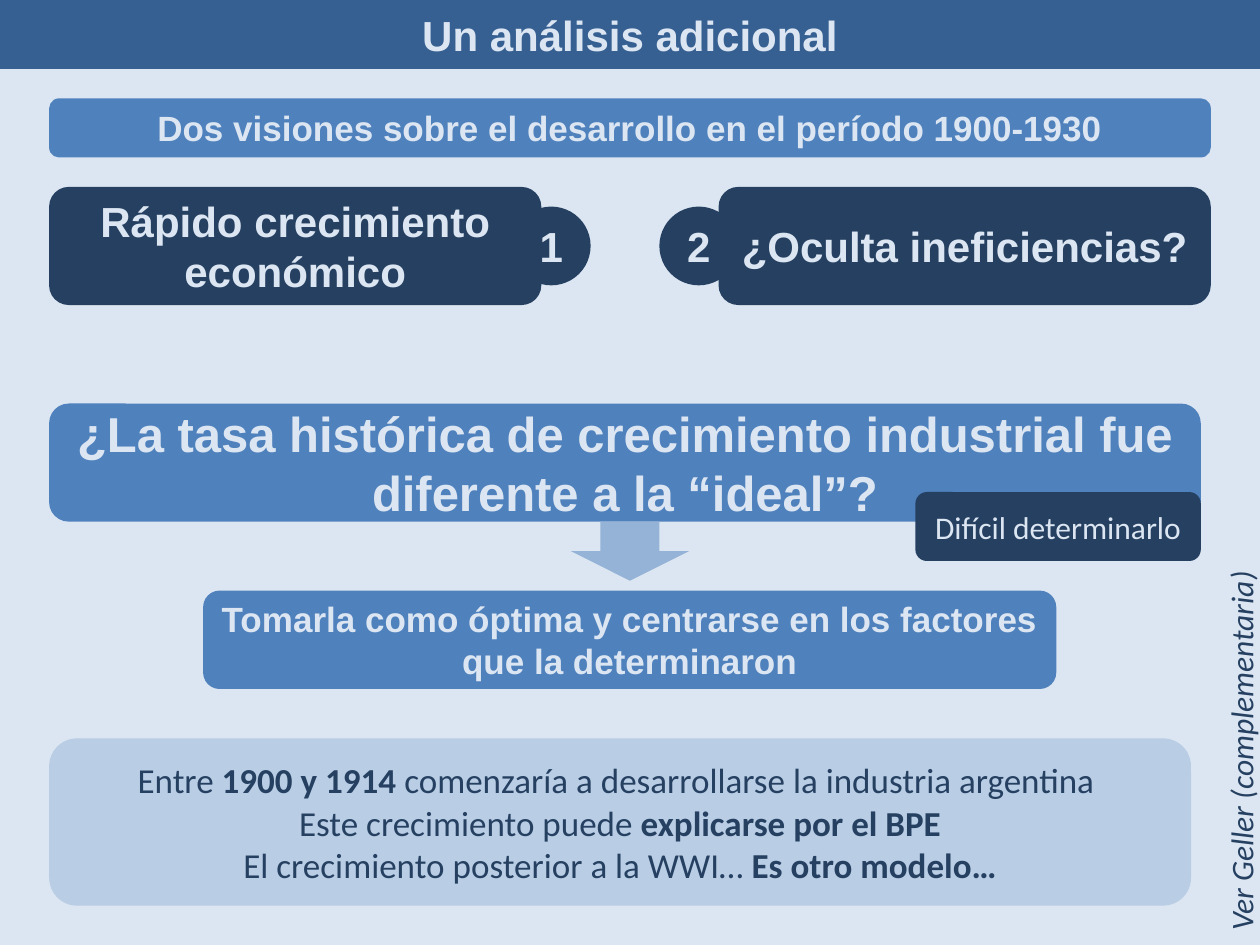
from dataclasses import dataclass

from pptx import Presentation
from pptx import util as u
from pptx.dml.color import RGBColor
from pptx.enum import shapes, text

COLORS = {
    "pale": "DCE6F2",
    "light": "B9CDE5",
    "soft": "95B3D7",
    "blue": "4F81BD",
    "header": "376092",
    "navy": "254061",
}
ROUND = shapes.MSO_SHAPE.ROUNDED_RECTANGLE
CIRCLE = shapes.MSO_SHAPE.OVAL
ARROW = shapes.MSO_SHAPE.DOWN_ARROW
CENTER, LEFT = text.PP_ALIGN.CENTER, text.PP_ALIGN.LEFT

PAGE_W, PAGE_H = 720, 540
MARGIN = 28.1
FULL_W = PAGE_W - 2 * MARGIN
VIEW_W, VIEW_TOP, VIEW_H = 281.25, 106.8, 67.5
CIRCLE_SIZE = 45
CIRCLE_TOP = VIEW_TOP + (VIEW_H - CIRCLE_SIZE) / 2


@dataclass
class Span:
    words: str
    bold: bool = False
    italic: bool = False


@dataclass
class Style:
    font: str
    size: float
    color: str = "pale"
    align: text.PP_ALIGN = CENTER
    hanging: float = 0


@dataclass
class Block:
    kind: shapes.MSO_SHAPE
    left: float
    top: float
    width: float
    height: float
    fill: str | None
    lines: list[list[Span]]
    style: Style | None = None
    rotation: float = 0
    corner: float | None = None


def rgb(name: str) -> RGBColor:
    return RGBColor.from_string(COLORS[name])


def bold(words: str) -> list[list[Span]]:
    return [[Span(words, bold=True)]]


def write_lines(box, lines: list[list[Span]], style: Style) -> None:
    frame = box.text_frame
    frame.word_wrap = True
    frame.vertical_anchor = text.MSO_ANCHOR.MIDDLE
    for index, line in enumerate(lines):
        para = frame.add_paragraph() if index else frame.paragraphs[0]
        para.alignment = style.align
        if style.hanging:
            indent = u.Pt(style.hanging)
            properties = para._p.get_or_add_pPr()
            properties.set("marL", str(indent))
            properties.set("indent", str(-indent))
        for part in line:
            span = para.add_run()
            span.text = part.words
            span.font.name = style.font
            span.font.size = u.Pt(style.size)
            span.font.bold = part.bold
            span.font.italic = part.italic
            span.font.color.rgb = rgb(style.color)


def draw_block(page, block: Block) -> None:
    box = page.shapes.add_shape(
        block.kind, u.Pt(block.left), u.Pt(block.top), u.Pt(block.width), u.Pt(block.height)
    )
    box.shadow.inherit = False
    box.line.fill.background()
    box.rotation = block.rotation
    if block.corner is not None:
        box.adjustments[0] = block.corner
    if block.fill:
        box.fill.solid()
        box.fill.fore_color.rgb = rgb(block.fill)
    else:
        box.fill.background()
    if block.style:
        write_lines(box, block.lines, block.style)


HEADING = Style("Arial", 24)
STATEMENT = Style("Arial", 20)
QUESTION = Style("Arial", 28)
REMARK = Style("Calibri", 18)
CONCLUSION = Style("Calibri", 20, "navy", hanging=36)
REFERENCE = Style("Calibri", 18, "navy", LEFT, hanging=36)

CONCLUSIONS = [
    [
        Span("Entre "),
        Span("1900 y 1914 ", bold=True),
        Span("comenzaría a desarrollarse la industria argentina "),
    ],
    [Span("Este crecimiento puede "), Span("explicarse por el BPE", bold=True)],
    [Span("El crecimiento posterior a la WWI… "), Span("Es otro modelo…", bold=True)],
]

BLOCKS = [
    # Question, the approach taken and the conclusions
    Block(ROUND, MARGIN, 230.6, 658.1, 67.5, "blue",
          bold("¿La tasa histórica de crecimiento industrial fue diferente a la “ideal”?"),
          QUESTION),
    Block(ROUND, 116.1, 337.5, 487.5, 56.2, "blue",
          bold("Tomarla como óptima y centrarse en los factores que la determinaron"),
          STATEMENT),
    Block(ROUND, MARGIN, 421.9, 652.5, 95.6, "light", CONCLUSIONS, CONCLUSION),
    # Title bar and subtitle
    Block(ROUND, MARGIN, 56.2, FULL_W, 33.75, "blue",
          bold("Dos visiones sobre el desarrollo en el período 1900-1930"), STATEMENT),
    Block(ROUND, 0, 0, PAGE_W, 39.4, "header", bold("Un análisis adicional"), HEADING, corner=0),
    # Arrow and remark attached to the question
    Block(ARROW, (PAGE_W - 67.5) / 2, 298.1, 67.5, 33.75, "soft", []),
    Block(ROUND, 523.1, 281.2, 163.1, 39.4, "navy", [[Span("Difícil determinarlo")]], REMARK),
    # The two views with their numbers
    Block(ROUND, MARGIN, VIEW_TOP, VIEW_W, VIEW_H, "navy",
          bold("Rápido crecimiento económico"), HEADING),
    Block(ROUND, PAGE_W - MARGIN - VIEW_W, VIEW_TOP, VIEW_W, VIEW_H, "navy",
          bold("¿Oculta ineficiencias?"), HEADING),
    Block(CIRCLE, 292.5, CIRCLE_TOP, CIRCLE_SIZE, CIRCLE_SIZE, "navy", bold("1"), HEADING),
    Block(CIRCLE, 376.8, CIRCLE_TOP, CIRCLE_SIZE, CIRCLE_SIZE, "navy", bold("2"), HEADING),
    # Reference running up the right edge
    Block(ROUND, 458.7, 278.5, 500.6, 22.5, None,
          [[Span("Ver Geller (complementaria)", italic=True)]], REFERENCE, rotation=270),
]


def main() -> None:
    deck = Presentation()
    deck.slide_width, deck.slide_height = u.Pt(PAGE_W), u.Pt(PAGE_H)
    page = deck.slides.add_slide(deck.slide_layouts[6])
    page.background.fill.solid()
    page.background.fill.fore_color.rgb = rgb("pale")
    for block in BLOCKS:
        draw_block(page, block)
    deck.save("out.pptx")


if __name__ == "__main__":
    main()
